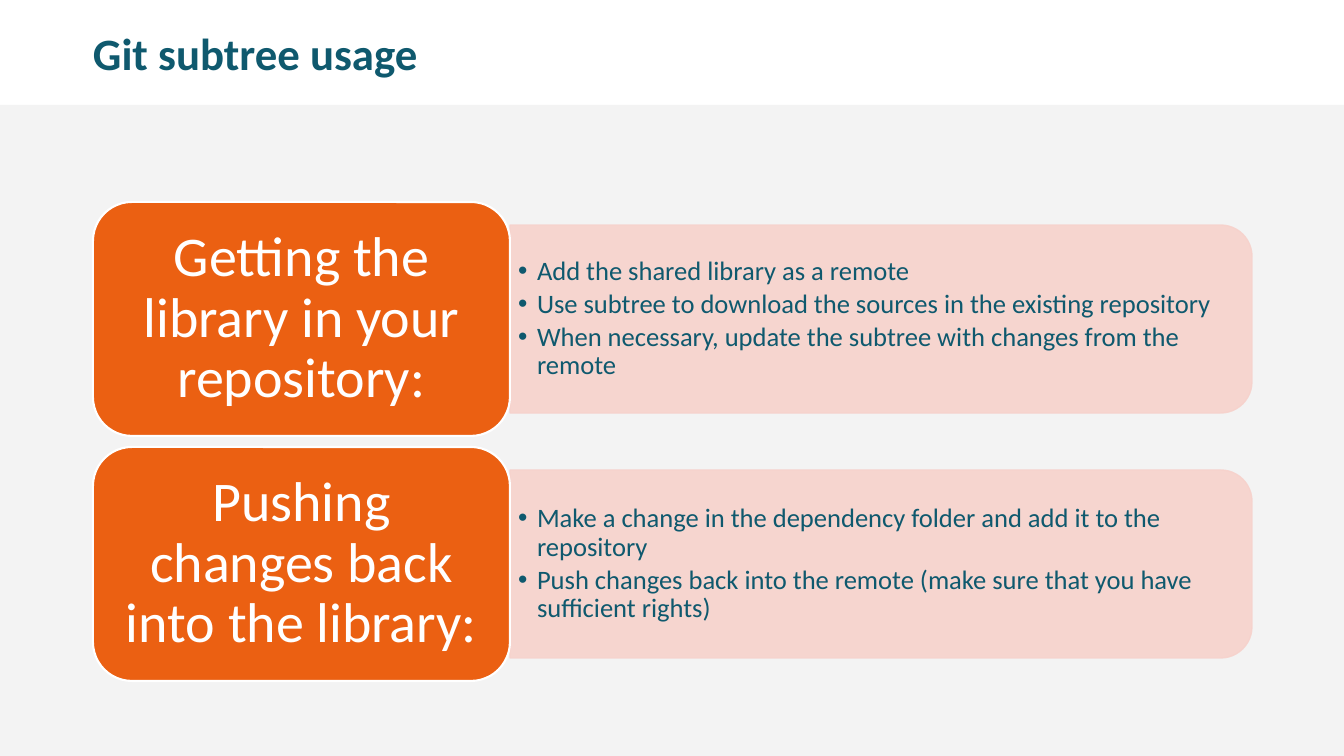
from lxml import etree
from pptx import Presentation
from pptx import util as u
from pptx.dml.color import RGBColor
from pptx.enum import shapes, text
from pptx.oxml.ns import qn

SCALE = 914400 / 100.8
COLORS = {
    "ground": "F3F3F3",
    "ink": "0F596E",
    "panel": "F7D2CC",
    "card": "EB6012",
    "white": "FFFFFF",
}
STEPS = [
    ("Getting the library in your repository:", [
        "Add the shared library as a remote",
        "Use subtree to download the sources in the existing repository",
        "When necessary, update the subtree with changes from the remote",
    ]),
    ("Pushing changes back into the library:", [
        "Make a change in the dependency folder and add it to the repository",
        "Push changes back into the remote (make sure that you have sufficient rights)",
    ]),
]
MARGIN, TITLE_HEIGHT = 93, 112
GROUND_TOP = 105
CARD_TOP, CARD_WIDTH, CARD_HEIGHT, PITCH = 202, 417, 234, 245
PANEL_WIDTH, PANEL_HEIGHT = 742, 188
LIST_WIDTH, LIST_HEIGHT = 733, 169
HANG = 19


def px(length):
    return u.Emu(round(length * SCALE))


def format_text(box, size, color, align, inset_x, inset_y):
    frame = box.text_frame
    frame.word_wrap = True
    frame.auto_size = text.MSO_AUTO_SIZE.NONE
    frame.vertical_anchor = text.MSO_ANCHOR.MIDDLE
    frame.margin_left = frame.margin_right = px(inset_x)
    frame.margin_top = frame.margin_bottom = px(inset_y)
    for para in frame.paragraphs:
        para.alignment = align
        para.line_spacing = 0.9
        para.space_before = u.Pt(0)
        for span in para.runs:
            span.font.name = "Calibri"
            span.font.size = u.Pt(size)
            span.font.color.rgb = RGBColor.from_string(COLORS[color])


deck = Presentation()
deck.slide_width, deck.slide_height = px(1344), px(756)
page = deck.slides.add_slide(deck.slide_layouts[3])
title, *lists = page.placeholders

ground = page.shapes.add_shape(
    shapes.MSO_SHAPE.RECTANGLE, 0, px(GROUND_TOP), px(1344), px(756 - GROUND_TOP))
ground.shadow.inherit = False
ground.fill.solid()
ground.fill.fore_color.rgb = RGBColor.from_string(COLORS["ground"])
ground.line.fill.background()
title._element.addprevious(ground._element)

title.left, title.top, title.width, title.height = px(MARGIN), 0, px(1159), px(TITLE_HEIGHT)
title.text_frame.text = "Git subtree usage"
format_text(title, 32, "ink", text.PP_ALIGN.LEFT, 0, 0)
title.text_frame.paragraphs[0].runs[0].font.bold = True

for row, ((heading, items), body) in enumerate(zip(STEPS, lists)):
    top = CARD_TOP + row * PITCH
    middle = top + CARD_HEIGHT / 2
    edge = MARGIN + CARD_WIDTH

    panel = page.shapes.add_shape(
        shapes.MSO_SHAPE.ROUND_2_SAME_RECTANGLE,
        px(edge + (PANEL_WIDTH - PANEL_HEIGHT) / 2), px(middle - PANEL_WIDTH / 2),
        px(PANEL_HEIGHT), px(PANEL_WIDTH))
    panel.rotation = 90
    panel.shadow.inherit = False
    panel.fill.solid()
    panel.line.width = u.Pt(1)
    for paint in (panel.fill, panel.line.fill):
        paint.solid()
        paint.fore_color.rgb = RGBColor.from_string(COLORS["panel"])
    for tint in panel._element.spPr.iter(qn("a:srgbClr")):
        etree.SubElement(tint, qn("a:alpha"), val="90000")
    body._element.addprevious(panel._element)

    body.left, body.top = px(edge), px(middle - LIST_HEIGHT / 2)
    body.width, body.height = px(LIST_WIDTH), px(LIST_HEIGHT)
    body.text_frame.text = "\n".join(items)
    for para in body.text_frame.paragraphs:
        props = para._p.get_or_add_pPr()
        props.set("marL", str(px(HANG)))
        props.set("indent", str(-px(HANG)))
        etree.SubElement(props, qn("a:buChar"), char="•")
        para.space_after = u.Pt(3)
    format_text(body, 19, "ink", text.PP_ALIGN.LEFT, 8, 4)

    card = page.shapes.add_shape(
        shapes.MSO_SHAPE.ROUNDED_RECTANGLE,
        px(MARGIN), px(top), px(CARD_WIDTH), px(CARD_HEIGHT))
    card.shadow.inherit = False
    card.fill.solid()
    card.fill.fore_color.rgb = RGBColor.from_string(COLORS["card"])
    card.line.color.rgb = RGBColor.from_string(COLORS["white"])
    card.line.width = u.Pt(1.5)
    card.text_frame.text = heading
    format_text(card, 40, "white", text.PP_ALIGN.CENTER, 17, 8)

deck.save("out.pptx")
